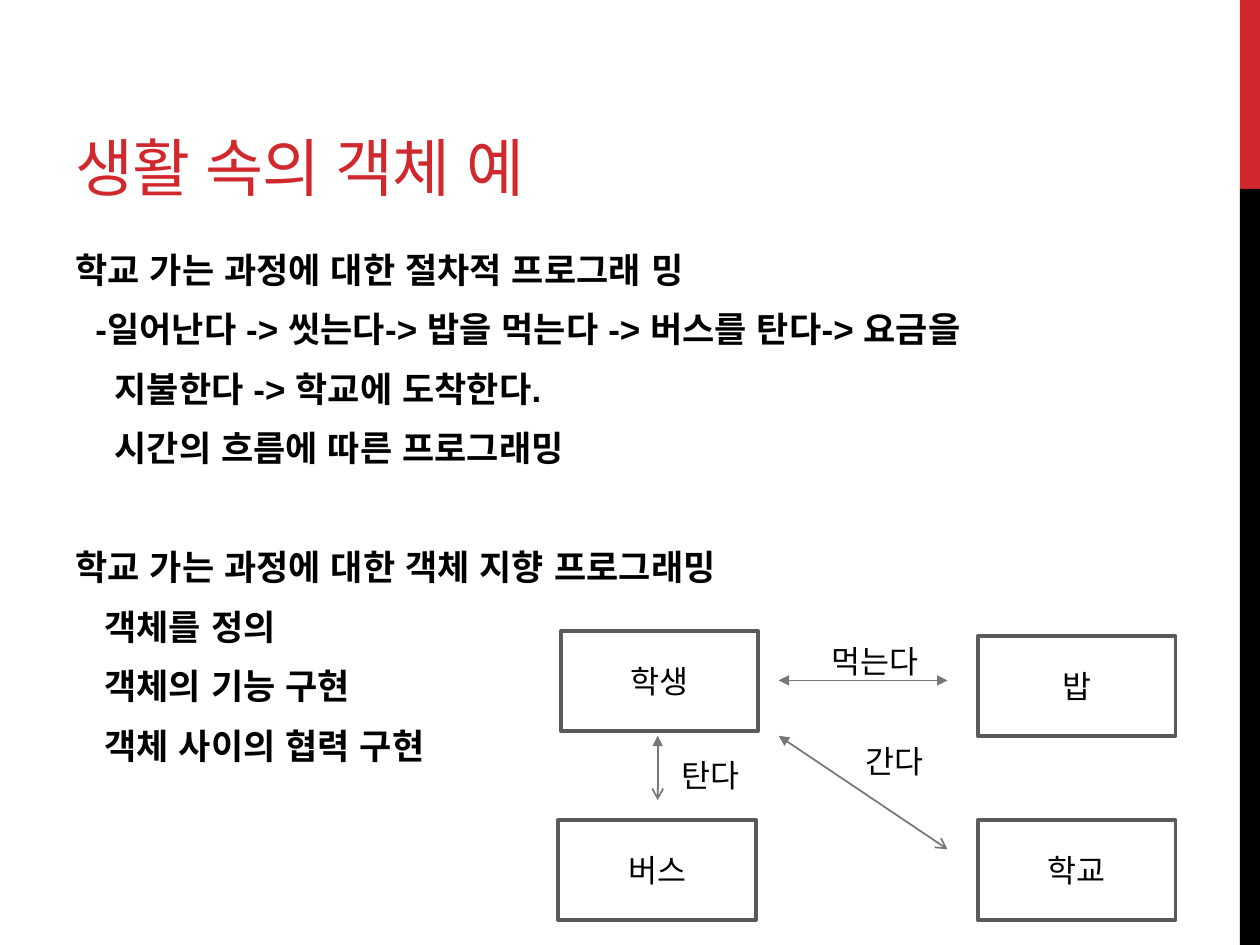
from pptx import Presentation
from pptx.dml.color import RGBColor
from pptx.enum.shapes import MSO_CONNECTOR as Connector, MSO_SHAPE as Shape
from pptx.enum.text import MSO_ANCHOR as Anchor, PP_ALIGN as Align
from pptx.oxml.ns import qn
from pptx.util import Inches, Pt
from lxml.etree import SubElement

RED, BLACK, BORDER, ARROW = "D1282E", "000000", "5A5A5A", "777777"
BOX_WIDTH, BOX_HEIGHT = 1.57, 0.79
LINE_FACTOR = 1.2
BODY_SIZE = 20
BODY_LINES = [
    ("학교 가는 과정에 대한 절차적 프로그래 밍", 0, 4),
    ("-일어난다 -> 씻는다-> 밥을 먹는다 -> 버스를 탄다-> 요금을", 0.16, 4),
    ("지불한다 -> 학교에 도착한다.", 0.31, 4),
    ("시간의 흐름에 따른 프로그래밍", 0.31, 4),
    ("학교 가는 과정에 대한 객체 지향 프로그래밍", 0, 38),
    ("객체를 정의", 0.23, 4),
    ("객체의 기능 구현", 0.23, 4),
    ("객체 사이의 협력 구현", 0.23, 4),
]
OBJECTS = [("학생", 4.45, 5.01), ("밥", 7.76, 5.05),
           ("버스", 4.43, 6.51), ("학교", 7.76, 6.51)]
RELATIONS = [
    ((6.18, 5.4), (7.52, 5.4), "triangle"),
    ((5.22, 5.84), (5.22, 6.35), "arrow"),
    ((6.18, 5.84), (7.52, 6.74), "arrow"),
]
LABELS = [("먹는다", 6.5, 5.05, 0.96), ("탄다", 5.31, 5.95, 0.71),
          ("간다", 6.77, 5.84, 0.71)]


def rgb(color):
    return RGBColor.from_string(color)


def write(paragraph, text, size=18, color=BLACK, font="Arial", bold=False,
          align=Align.LEFT, indent=0, before=0, after=0, tracking=0):
    paragraph.alignment = align
    paragraph.line_spacing = Pt(size * LINE_FACTOR)
    paragraph.space_before, paragraph.space_after = Pt(before), Pt(after)
    if indent:
        paragraph._p.get_or_add_pPr().set("marL", str(Inches(indent)))
    run = paragraph.add_run()
    run.text = text
    run.font.name, run.font.size, run.font.bold = font, Pt(size), bold
    run.font.color.rgb = rgb(color)
    properties = run._r.get_or_add_rPr()
    SubElement(properties, qn("a:ea")).set("typeface", "Arial")
    if tracking:
        properties.set("spc", str(round(tracking * 100)))


def add_text_frame(slide, left, top, width, height, anchor=Anchor.TOP):
    box = slide.shapes.add_textbox(*map(Inches, (left, top, width, height)))
    frame = box.text_frame
    frame.word_wrap = True
    frame.vertical_anchor = anchor
    return frame


def add_rectangle(slide, left, top, width, height, fill=None, line=None):
    shape = slide.shapes.add_shape(
        Shape.RECTANGLE, *map(Inches, (left, top, width, height)))
    shape.shadow.inherit = False
    if fill:
        shape.fill.solid()
        shape.fill.fore_color.rgb = rgb(fill)
    else:
        shape.fill.background()
    if line:
        shape.line.color.rgb = rgb(line)
        shape.line.width = Pt(2.25)
    else:
        shape.line.fill.background()
    return shape


def add_object(slide, name, left, top):
    shape = add_rectangle(slide, left, top, BOX_WIDTH, BOX_HEIGHT, line=BORDER)
    shape.text_frame.vertical_anchor = Anchor.MIDDLE
    write(shape.text_frame.paragraphs[0], name, align=Align.CENTER)


def add_arrow(slide, start, end, tail):
    connector = slide.shapes.add_connector(
        Connector.STRAIGHT, *map(Inches, start + end))
    connector.line.color.rgb = rgb(ARROW)
    connector.line.width = Pt(1)
    line = connector.line._get_or_add_ln()
    SubElement(line, qn("a:headEnd")).set("type", "triangle")
    SubElement(line, qn("a:tailEnd")).set("type", tail)
    SubElement(connector._element.spPr, qn("a:effectLst"))


def add_body(slide):
    frame = add_text_frame(slide, 0.5, 1.92, 8.33, 4.78)
    for index, (text, indent, before) in enumerate(BODY_LINES):
        paragraph = frame.add_paragraph() if index else frame.paragraphs[0]
        write(paragraph, text, size=BODY_SIZE, bold=True, indent=indent,
              before=before if index else 0, after=6)


def main():
    presentation = Presentation()
    presentation.slide_width, presentation.slide_height = Inches(10), Inches(7.5)
    slide = presentation.slides.add_slide(presentation.slide_layouts[6])

    add_rectangle(slide, 9.84, 0, 0.16, 1.5, fill=RED)
    add_rectangle(slide, 9.84, 1.5, 0.16, 6, fill=BLACK)
    title = add_text_frame(slide, 0.5, 0.17, 6.33, 1.5, anchor=Anchor.BOTTOM)
    write(title.paragraphs[0], "생활 속의 객체 예", size=36, color=RED,
          font="Montserrat", tracking=-0.6)
    add_body(slide)

    for name, left, top in OBJECTS:
        add_object(slide, name, left, top)
    for start, end, tail in RELATIONS:
        add_arrow(slide, start, end, tail)
    for text, left, top, width in LABELS:
        frame = add_text_frame(slide, left, top, width, 0.4)
        write(frame.paragraphs[0], text)

    presentation.save("out.pptx")


if __name__ == "__main__":
    main()
